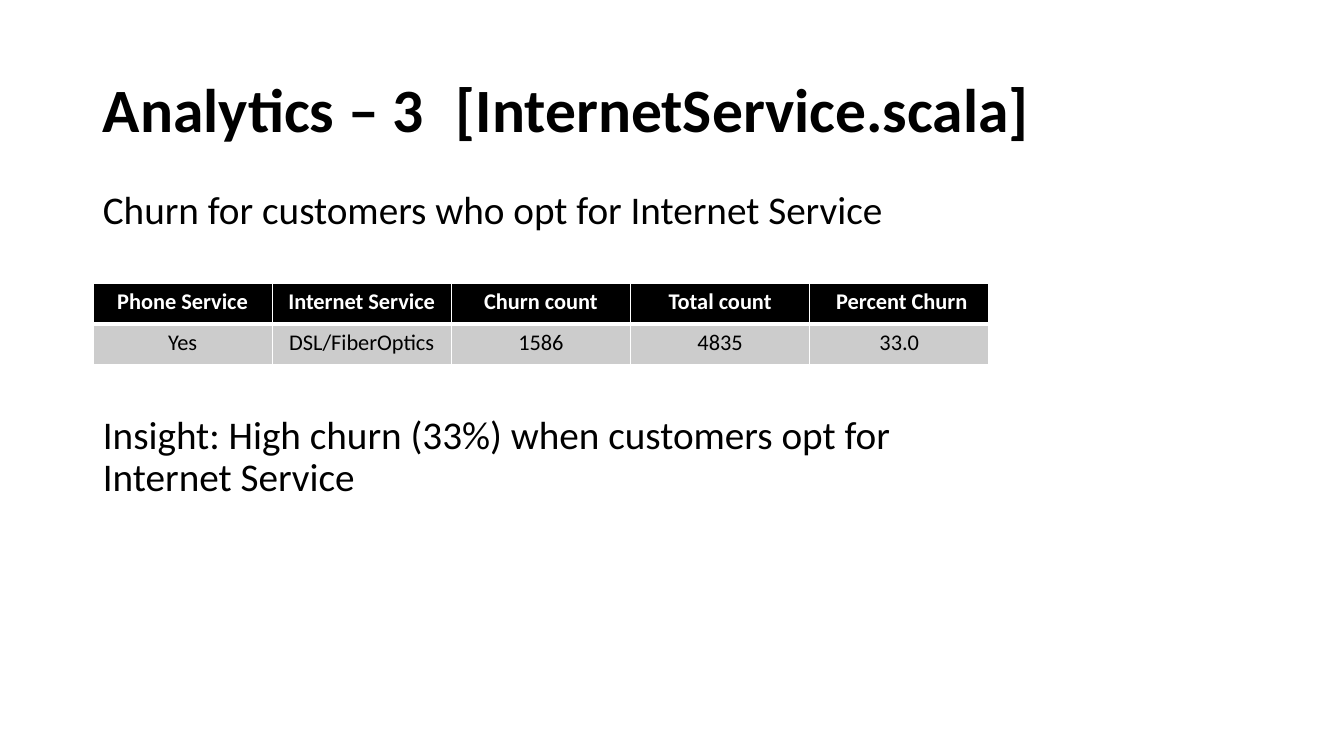
from dataclasses import dataclass
from lxml.etree import SubElement as Sub
from pptx import Presentation
from pptx.dml.color import RGBColor as RGB
from pptx.enum.text import MSO_ANCHOR as Anchor, PP_ALIGN as Align
from pptx.oxml.ns import qn
from pptx.util import Emu, Pt

SCALE = 914400 / 100.8


@dataclass(frozen=True)
class Theme:
    """Font, colours and type sizes of the slide."""
    font: str = "Calibri"
    black: str = "000000"
    white: str = "FFFFFF"
    grey: str = "CCCCCC"
    title: int = 44
    body: int = 28
    cell: int = 16


THEME = Theme()


def px(num):
    """Turn pixels into EMU."""
    return Emu(round(num * SCALE))


def style(para, size, color, bold=False):
    """Format every run of a paragraph."""
    for run in para.runs:
        font = run.font
        font.name, font.size, font.bold = THEME.font, Pt(size), bold
        font.color.rgb = RGB.from_string(color)


def add_text(slide, box, lines, size, gaps, bold=False, anchor=Anchor.TOP):
    """Fill a box with paragraphs, each with its gap above in points."""
    frame = slide.shapes.add_textbox(*map(px, box)).text_frame
    frame.word_wrap = True
    frame.vertical_anchor = anchor
    frame.text = "\n".join(lines)
    for para, gap in zip(frame.paragraphs, gaps):
        para.line_spacing = 0.9
        para.space_before = Pt(gap)
        style(para, size, THEME.black, bold)


def add_edge(cell, side, width):
    """Draw one white cell border; call before the fill is set."""
    props = cell._tc.get_or_add_tcPr()
    line = Sub(props, qn(f"a:ln{side}"), w=str(Pt(width)))
    fill = Sub(line, qn("a:solidFill"))
    Sub(fill, qn("a:srgbClr"), val=THEME.white)


def add_grid(slide, box, rows):
    """Place the churn table with a black head row and grey values."""
    table = slide.shapes.add_table(len(rows), len(rows[0]), *map(px, box)).table
    for r, row in enumerate(rows):
        head = r == 0
        edges = {"L": 1, "R": 1, "T": 1 if head else 3, "B": 3 if head else 1}
        for c, text in enumerate(row):
            cell = table.cell(r, c)
            for side, width in edges.items():
                add_edge(cell, side, width)
            cell.fill.solid()
            cell.fill.fore_color.rgb = RGB.from_string(
                THEME.black if head else THEME.grey)
            cell.text = text
            para = cell.text_frame.paragraphs[0]
            para.alignment = Align.CENTER
            style(para, THEME.cell, THEME.white if head else THEME.black, head)


def add_churn(deck, box):
    """Build the churn slide inside the given box."""
    left, top, wide, high = box
    slide = deck.slides.add_slide(deck.slide_layouts[6])
    add_text(slide, (left, top, wide, 146),
             ["Analytics – 3\t[InternetService.scala]"],
             THEME.title, [0], True, Anchor.MIDDLE)
    add_text(slide, (left, top + 146, 825, high - 146),
             ["Churn for customers who opt for Internet Service",
              "Insight: High churn (33%) when customers opt for Internet Service"],
             THEME.body, [10, 130])
    add_grid(slide, (left, top + 243, 896, 82), [
        ["Phone Service", "Internet Service", "Churn count", "Total count",
         " Percent Churn"],
        ["Yes", "DSL/FiberOptics", "1586", "4835", "33.0"]])


deck = Presentation()
deck.slide_width, deck.slide_height = px(1344), px(756)
add_churn(deck, (93, 40, 1159, 626))
deck.save("out.pptx")
